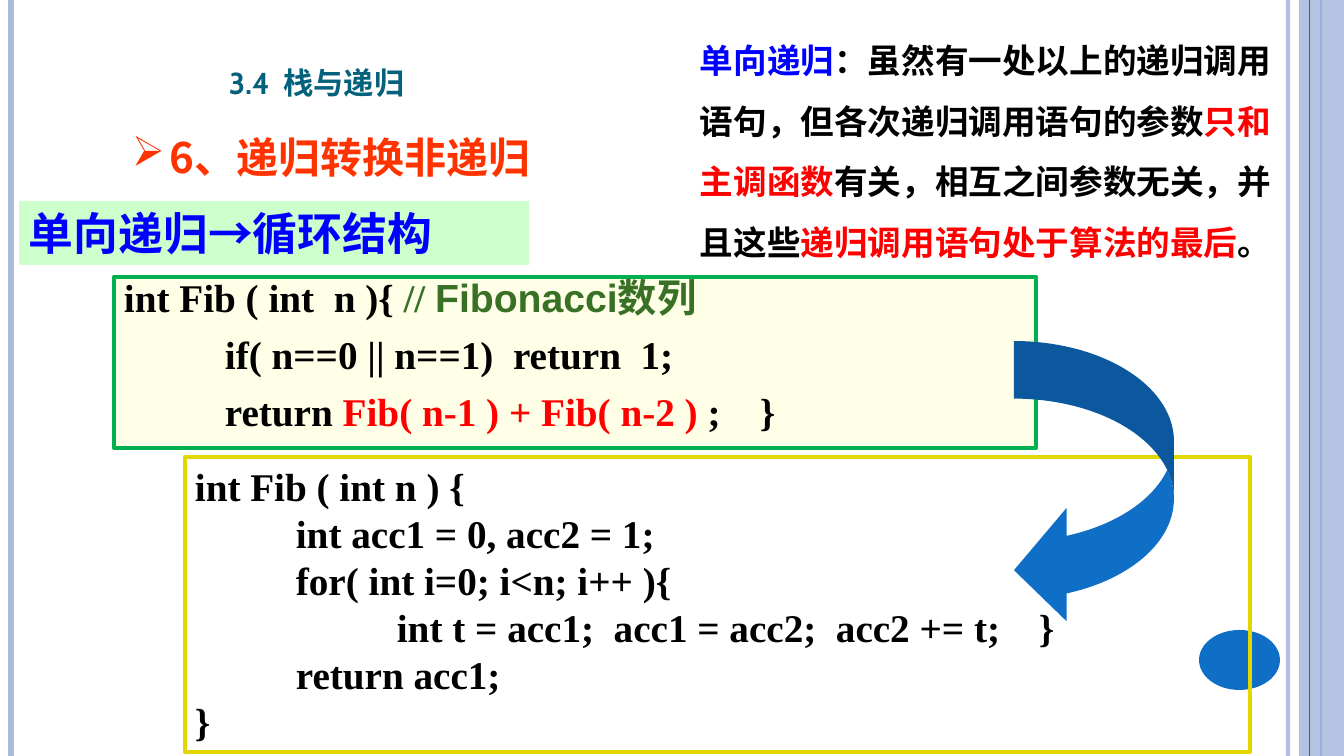
from dataclasses import dataclass

from lxml import etree
from pptx import Presentation
from pptx import util as u
from pptx.dml import color
from pptx.enum import shapes, text
from pptx.oxml import ns

SCALE = 914400 / 100.8
WIDE, HIGH = 1344, 756


@dataclass(frozen=True)
class Theme:
    rail: str = "ABBBDF"
    blue: str = "0F6FC6"
    teal: str = "04617B"
    orange: str = "FF3300"
    mint: str = "CCFFCC"
    cream: str = "FFFFE7"
    green: str = "00B050"
    gold: str = "E2D700"
    note: str = "387026"
    key: str = "0000FF"
    hot: str = "FF0000"
    ink: str = "000000"
    sans: str = "Arial"
    code: str = "Times New Roman"
    head: str = "Cabin"
    han: str = "Noto Sans CJK SC"
    title: int = 27
    topic: int = 30
    label: int = 32
    body: int = 28
    side: int = 24


T = Theme()


def px(n):
    return u.Emu(round(n * SCALE))


def rgb(tone):
    return color.RGBColor.from_string(tone)


def sub(node, tag, **attrs):
    child = etree.SubElement(node, ns.qn(tag))
    for name, value in attrs.items():
        child.set(name, str(value))
    return child


def fade(node, share):
    tone = next(node.iter(ns.qn("a:srgbClr")))
    sub(tone, "a:alpha", val=share * 1000)


def rail(slide, x, tone, width, share=100):
    line = slide.shapes.add_connector(
        shapes.MSO_CONNECTOR.STRAIGHT, px(x), 0, px(x), px(HIGH))
    line.line.color.rgb = rgb(tone)
    line.line.width = u.Pt(width)
    if share < 100:
        fade(line.line._get_or_add_ln(), share)
    sub(line._element.spPr, "a:effectLst")


def shape(slide, kind, box, fill=None, edge=None):
    item = slide.shapes.add_shape(kind, *map(px, box))
    item.shadow.inherit = False
    if fill:
        item.fill.solid()
        item.fill.fore_color.rgb = rgb(fill)
    else:
        item.fill.background()
    if edge:
        item.line.color.rgb = rgb(edge)
        item.line.width = u.Pt(3)
    else:
        item.line.fill.background()
    return item


def label(slide, box):
    return slide.shapes.add_textbox(*map(px, box))


def write(item, paras, size, font, anchor=text.MSO_ANCHOR.TOP,
          space=None, before=None):
    frame = item.text_frame
    frame.word_wrap = True
    frame.vertical_anchor = anchor
    for i, runs in enumerate(paras):
        para = frame.paragraphs[0] if i == 0 else frame.add_paragraph()
        para.alignment = text.PP_ALIGN.LEFT
        if space:
            para.line_spacing = space
        if before:
            para.space_before = u.Pt(before)
        for words, tone, *face in runs:
            run = para.add_run()
            run.text = words
            run.font.size = u.Pt(size)
            run.font.bold = True
            run.font.color.rgb = rgb(tone)
            run.font.name = face[0] if face else font
            sub(run._r.get_or_add_rPr(), "a:ea", typeface=T.han)
    return frame.paragraphs


def bullet(para, mark, tone, gap):
    props = para._p.get_or_add_pPr()
    props.set("marL", str(px(gap)))
    props.set("indent", str(px(-gap)))
    sub(sub(props, "a:buClr"), "a:srgbClr", val=tone)
    sub(props, "a:buChar", char=mark)


def tabs(paras, stops):
    for para in paras:
        stack = sub(para._p.get_or_add_pPr(), "a:tabLst")
        for stop in stops:
            sub(stack, "a:tab", pos=px(stop), algn="l")


def frame(slide):
    rail(slide, 1288, T.rail, 3, 93)
    rail(slide, 11, T.rail, 4.5)
    rail(slide, 1321, T.blue, 1.5)
    band = shape(slide, shapes.MSO_SHAPE.RECTANGLE,
                 (1299, 0, WIDE - 1299, HIGH), T.rail)
    fade(band._element.spPr, 87)
    rail(slide, 1310, T.blue, 0.75)
    shape(slide, shapes.MSO_SHAPE.OVAL, (1199, 630, 81, 60), T.blue)


def heads(slide):
    paras = write(label(slide, (219, 45, 334, 62)),
                  [[("3.4  栈与递归", T.teal)]],
                  T.title, T.head, text.MSO_ANCHOR.BOTTOM)
    paras[0].runs[0]._r.get_or_add_rPr().set("cap", "small")
    paras = write(label(slide, (122, 116, 593, 74)),
                  [[("6、递归转换非递归", T.orange)]],
                  T.topic, T.han, space=1.2)
    bullet(paras[0], "➢", T.orange, 38)
    strip = shape(slide, shapes.MSO_SHAPE.RECTANGLE,
                  (19, 201, 510, 64), T.mint)
    write(strip, [[("单向递归→循环结构", T.key)]], T.label, T.sans)


def codes(slide):
    first = shape(slide, shapes.MSO_SHAPE.RECTANGLE,
                  (114, 277, 922, 171), T.cream, T.green)
    paras = write(first, [
        [("int Fib ( int  n ){ ", T.ink), ("// ", T.note),
         ("Fibonacci数列", T.note, T.sans)],
        [("\tif( n==0 || n==1)  return  1;", T.ink)],
        [("\treturn ", T.ink), ("Fib( n-1 ) + Fib( n-2 ) ", T.hot),
         (";\t}", T.ink)],
    ], T.body, T.code, space=0.8, before=14)
    tabs(paras, (101, 636))

    second = shape(slide, shapes.MSO_SHAPE.RECTANGLE,
                   (185, 457, 1065, 295), edge=T.gold)
    lines = (
        "int Fib ( int n ) {",
        "\tint acc1 = 0, acc2 = 1;",
        "\tfor( int i=0; i<n; i++ ){",
        "\t\tint t = acc1;  acc1 = acc2;  acc2 += t;\t}",
        "\treturn acc1;",
        "}",
    )
    paras = write(second, [[(line, T.ink)] for line in lines],
                  T.body, T.code)
    tabs(paras, (101, 202, 844))

    arrow = shape(slide, shapes.MSO_SHAPE.CURVED_LEFT_ARROW,
                  (1014, 341, 160, 286), T.blue)
    for i, value in enumerate((0.36, 0.71, 0.33)):
        arrow.adjustments[i] = value


def side(slide):
    write(label(slide, (690, 14, 602, 254)), [[
        ("单向递归", T.key),
        ("：虽然有一处以上的递归调用语句，但各次递归调用语句的参数", T.ink),
        ("只和主调函数", T.hot),
        ("有关，相互之间参数无关，并且这些", T.ink),
        ("递归调用语句处于算法的最后", T.hot),
        ("。", T.ink),
    ]], T.side, T.sans, text.MSO_ANCHOR.MIDDLE, space=1.5)


def main():
    deck = Presentation()
    deck.slide_width, deck.slide_height = px(WIDE), px(HIGH)
    slide = deck.slides.add_slide(deck.slide_layouts[6])
    frame(slide)
    heads(slide)
    codes(slide)
    side(slide)
    deck.save("out.pptx")


if __name__ == "__main__":
    main()
